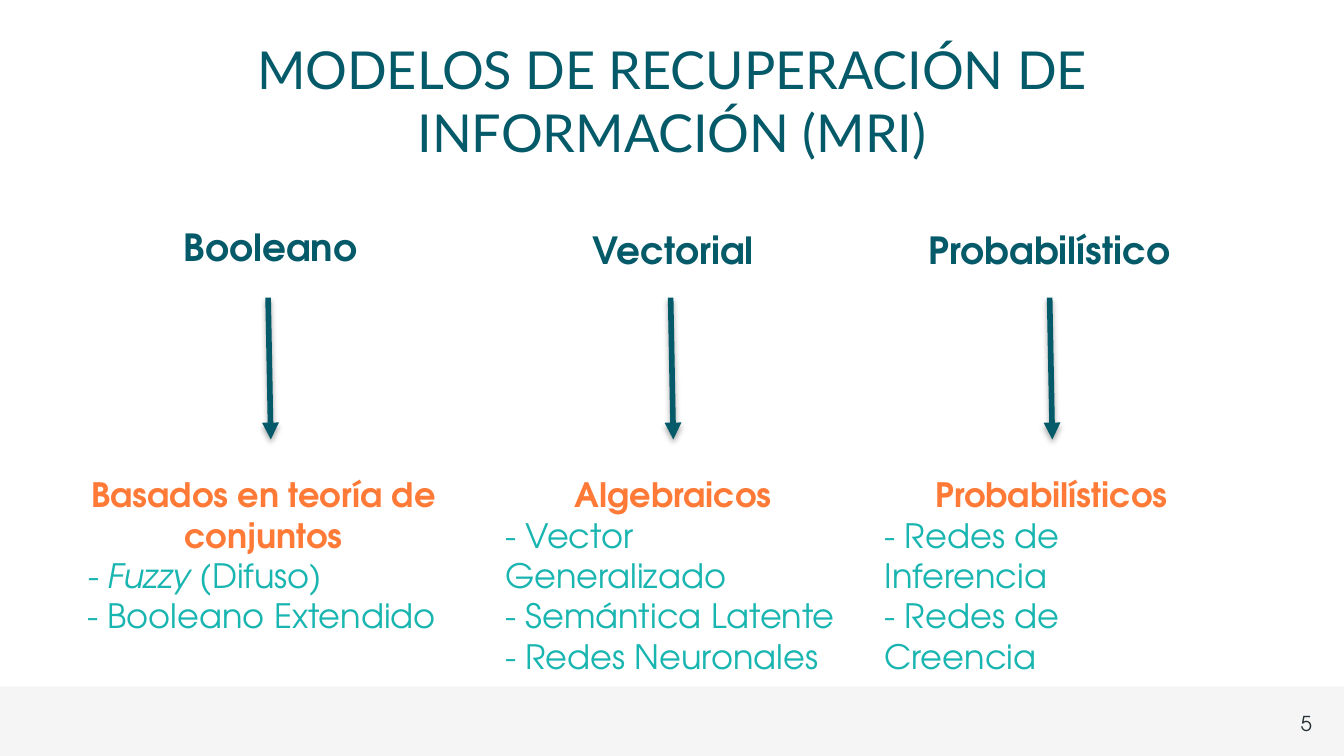
from dataclasses import dataclass

from lxml.etree import SubElement
from pptx import Presentation
from pptx.dml.color import RGBColor
from pptx.enum.shapes import MSO_CONNECTOR, MSO_SHAPE
from pptx.enum.text import MSO_ANCHOR, PP_ALIGN
from pptx.oxml.ns import qn
from pptx.util import Inches, Pt

# The slide is a grid of square cells: 100 columns by 56.25 rows (16:9).
COLS, ROWS = 100, 56.25
HEAD_H, ARROW_TOP, ARROW_END, LIST_TOP, BAND_TOP = 4.4, 22.15, 32.7, 34.8, 51.1
BODY = "TeX Gyre Adventor"
HUES = {"dark": "045A68", "warm": "FF7A36", "teal": "19B5B1",
        "band": "F5F5F5", "page": "263238"}


@dataclass
class Run:
    text: str
    hue: str = "teal"
    bold: bool = False
    slant: bool = False


@dataclass
class Model:
    name: str
    mid: float  # centre column of the heading
    top: float
    wide: float
    stem: float  # column where the arrow starts
    lean: float
    left: float  # first column of the list
    span: float
    tall: float
    kind: str
    items: list[list[Run]]


MODELS = [
    Model("Booleano", 20.13, 16.2, 16, 19.95, 0.2, 5.5, 28.2, 13.1,
          "Basados en teoría de conjuntos",
          [[Run("- Fuzzy", slant=True), Run(" (Difuso)")],
           [Run("- Booleano Extendido")]]),
    Model("Vectorial", 50.1, 16.4, 14.7, 49.9, 0.2, 36.6, 27, 13.1,
          "Algebraicos",
          [[Run("- Vector Generalizado")], [Run("- Semántica Latente")],
           [Run("- Redes Neuronales")]]),
    Model("Probabilístico", 78.1, 16.4, 21, 78.1, 0.2, 64.83, 26.8, 10.1,
          "Probabilísticos",
          [[Run("- Redes de Inferencia")], [Run("- Redes de Creencia")]]),
]


def cell(num: float) -> int:
    return Inches(num / 10)


def tint(name: str) -> RGBColor:
    return RGBColor.from_string(HUES[name])


def write(slide, x: float, y: float, w: float, h: float,
          paras: list[list[Run]], *, size: float, font: str = BODY,
          head: PP_ALIGN = PP_ALIGN.CENTER,
          anchor: MSO_ANCHOR = MSO_ANCHOR.TOP) -> None:
    """Add a text box; head aligns the first paragraph, the rest go left."""
    box = slide.shapes.add_textbox(cell(x), cell(y), cell(w), cell(h))
    frame = box.text_frame
    frame.word_wrap = True
    frame.vertical_anchor = anchor
    for i, runs in enumerate(paras):
        para = frame.add_paragraph() if i else frame.paragraphs[0]
        para.alignment = PP_ALIGN.LEFT if i else head
        for part in runs:
            run = para.add_run()
            run.text = part.text
            run.font.name, run.font.size = font, Pt(size)
            run.font.bold, run.font.italic = part.bold, part.slant
            run.font.color.rgb = tint(part.hue)


def arrow(slide, x: float, lean: float) -> None:
    line = slide.shapes.add_connector(
        MSO_CONNECTOR.STRAIGHT, cell(x), cell(ARROW_TOP),
        cell(x + lean), cell(ARROW_END))
    line.line.color.rgb = tint("dark")
    line.line.width = Pt(3)
    SubElement(line.line._get_or_add_ln(), qn("a:tailEnd"), type="triangle")
    fx = SubElement(line._element.spPr, qn("a:effectLst"))
    shade = SubElement(fx, qn("a:outerShdw"), blurRad=str(Pt(3.1)),
                       dist=str(Pt(1.8)), dir="5400000", rotWithShape="0")
    black = SubElement(shade, qn("a:srgbClr"), val="000000")
    SubElement(black, qn("a:alpha"), val="35000")


def band(slide) -> None:
    bar = slide.shapes.add_shape(
        MSO_SHAPE.RECTANGLE, 0, cell(BAND_TOP), cell(COLS),
        cell(ROWS - BAND_TOP))
    bar.shadow.inherit = False
    bar.fill.solid()
    bar.fill.fore_color.rgb = tint("band")
    bar.line.fill.background()


def column(slide, model: Model) -> None:
    write(slide, model.mid - model.wide / 2, model.top, model.wide, HEAD_H,
          [[Run(model.name, "dark", bold=True)]], size=20)
    arrow(slide, model.stem, model.lean)
    write(slide, model.left, LIST_TOP, model.span, model.tall,
          [[Run(model.kind, "warm", bold=True)], *model.items], size=18)


def main() -> None:
    deck = Presentation()
    deck.slide_width, deck.slide_height = cell(COLS), cell(ROWS)
    slide = deck.slides.add_slide(deck.slide_layouts[6])
    band(slide)
    write(slide, 7.85, 5.7, 84.3, 3.5,
          [[Run("MODELOS DE RECUPERACIÓN DE INFORMACIÓN (MRI)", "dark")]],
          size=28, font="Lato", anchor=MSO_ANCHOR.MIDDLE)
    for model in MODELS:
        column(slide, model)
    write(slide, 95.8, 52.4, 3.7, 2.9, [[Run("5", "page")]], size=11,
          head=PP_ALIGN.LEFT)
    deck.save("out.pptx")


if __name__ == "__main__":
    main()
